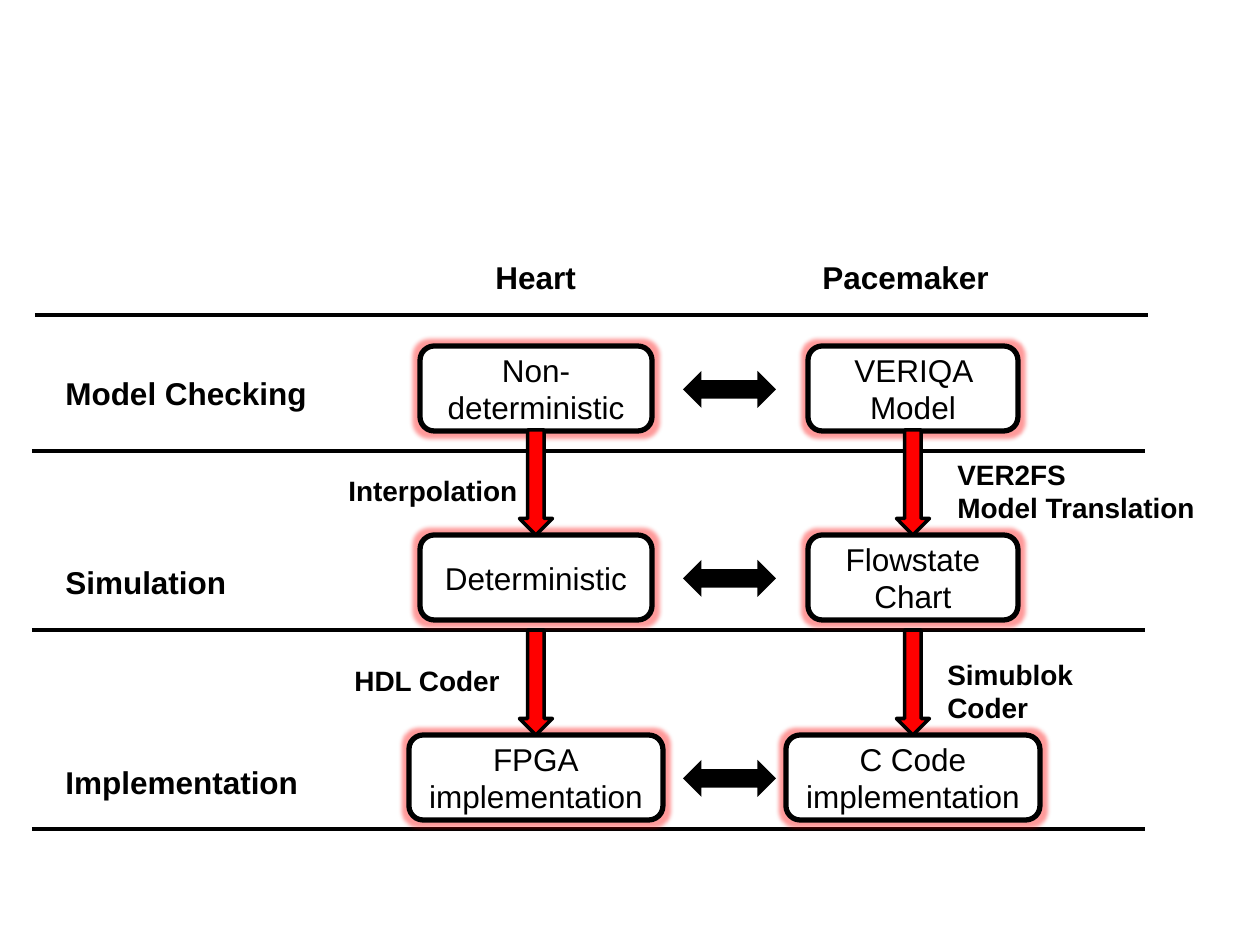
from lxml.etree import SubElement
from pptx import Presentation
from pptx.dml.color import RGBColor
from pptx.enum.shapes import MSO_CONNECTOR, MSO_SHAPE
from pptx.enum.text import MSO_ANCHOR, PP_ALIGN
from pptx.oxml.ns import qn
from pptx.util import Pt

PX = 914400 / 126
THEME = {
    "ink": RGBColor(0, 0, 0),
    "paper": RGBColor(255, 255, 255),
    "step": RGBColor(255, 0, 0),
    "glow": "FF0000",
    "heading": {"name": "Arial", "size": Pt(18), "bold": True},
    "model": {"name": "Arial", "size": Pt(18), "bold": False},
    "tool": {"name": "Arial", "size": Pt(16), "bold": True},
}


def px(*lengths):
    """Turn pixel lengths into EMU."""
    return [round(length * PX) for length in lengths]


def write(frame, lines, style, align):
    for number, line in enumerate(lines):
        paragraph = frame.paragraphs[0] if number == 0 else frame.add_paragraph()
        paragraph.alignment = align
        run = paragraph.add_run()
        run.text = line
        for attribute, value in THEME[style].items():
            setattr(run.font, attribute, value)
        run.font.color.rgb = THEME["ink"]


deck = Presentation()
deck.slide_width, deck.slide_height = px(1260, 945)
slide = deck.slides.add_slide(deck.slide_layouts[6])
shapes = slide.shapes

# Rules between the stages
for left, y in [(35, 315), (32, 451), (32, 630), (32, 829)]:
    rule = shapes.add_connector(MSO_CONNECTOR.STRAIGHT, *px(left, y, left + 1113, y))
    rule.line.color.rgb = THEME["ink"]
    rule.line.width = Pt(2)
    SubElement(rule._element.spPr, qn("a:effectLst"))

# Each stage: name, top, box widths, heart model, pacemaker model
stages = [
    ("Model Checking", 346, (232, 210), ["Non-deterministic"], ["VERIQA Model"]),
    ("Simulation", 535, (232, 210), ["Deterministic"], ["Flowstate", "Chart"]),
    ("Implementation", 735, (254, 254), ["FPGA", "implementation"],
     ["C Code", "implementation"]),
]
centres = [536, 913]
box_height = 85
step_width, step_height = 33, 105

captions = [
    (["Heart"], 483, 252, 107, 50, "heading"),
    (["Pacemaker"], 810, 252, 193, 50, "heading"),
    (["Interpolation"], 336, 467, 197, 47, "tool"),
    (["HDL Coder"], 342, 657, 172, 47, "tool"),
    (["VER2FS", "Model Translation"], 945, 451, 265, 81, "tool"),
    (["Simublok Coder"], 935, 651, 232, 47, "tool"),
]
stage_name_widths = [270, 188, 261]

for (stage, top, widths, *models), name_width in zip(stages, stage_name_widths):
    captions.append(([stage], 53, top + 22, name_width, 50, "heading"))

    for centre, width, model in zip(centres, widths, models):
        box = shapes.add_shape(MSO_SHAPE.ROUNDED_RECTANGLE,
                               *px(centre - width / 2, top, width, box_height))
        box.shadow.inherit = False
        box.fill.solid()
        box.fill.fore_color.rgb = THEME["paper"]
        box.line.color.rgb = THEME["ink"]
        box.line.width = Pt(3)
        effects = box._element.spPr.find(qn("a:effectLst"))
        glow = SubElement(effects, qn("a:glow"), rad=str(Pt(5)))
        tint = SubElement(glow, qn("a:srgbClr"), val=THEME["glow"])
        SubElement(tint, qn("a:alpha"), val="40000")
        box.text_frame.word_wrap = True
        box.text_frame.vertical_anchor = MSO_ANCHOR.MIDDLE
        write(box.text_frame, model, "model", PP_ALIGN.CENTER)

    exchange = shapes.add_shape(MSO_SHAPE.LEFT_RIGHT_ARROW,
                                *px(683, top + 25, 93, 37))
    exchange.shadow.inherit = False
    exchange.fill.solid()
    exchange.fill.fore_color.rgb = THEME["ink"]
    exchange.line.fill.background()

# Red steps end on the boxes of the following stage
for stage, top, *rest in stages[1:]:
    for centre in centres:
        step = shapes.add_shape(
            MSO_SHAPE.DOWN_ARROW,
            *px(centre - step_width / 2, top - step_height, step_width, step_height))
        step.shadow.inherit = False
        step.fill.solid()
        step.fill.fore_color.rgb = THEME["step"]
        step.line.color.rgb = THEME["ink"]
        step.line.width = Pt(2)

for lines, left, top, width, height, style in captions:
    caption = shapes.add_textbox(*px(left, top, width, height))
    caption.text_frame.word_wrap = False
    write(caption.text_frame, lines, style, PP_ALIGN.LEFT)

deck.save("out.pptx")
